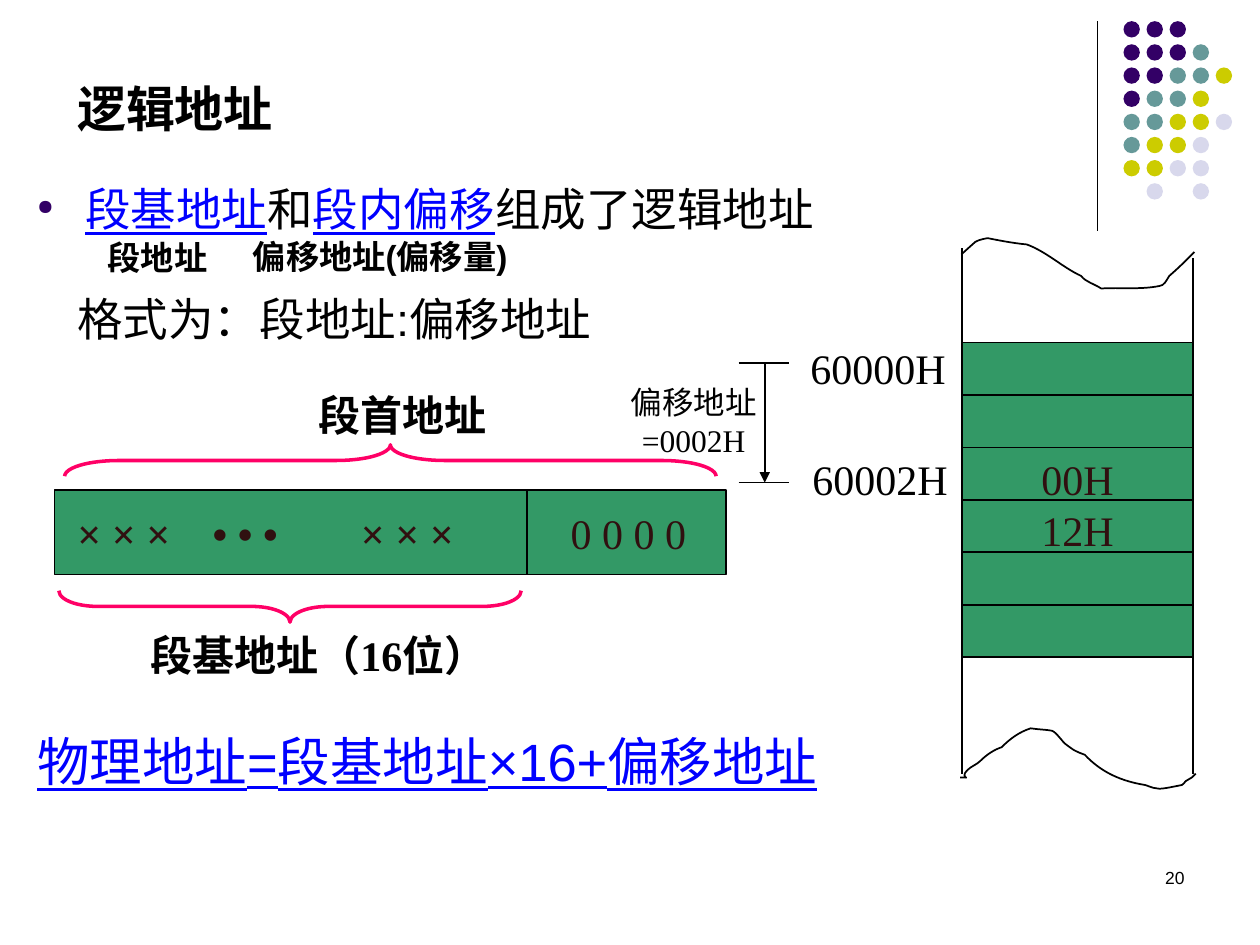
from dataclasses import dataclass, field
from typing import NamedTuple

from lxml.etree import SubElement
from pptx import Presentation
from pptx.dml.color import RGBColor
from pptx.enum.shapes import MSO_CONNECTOR, MSO_SHAPE
from pptx.enum.text import MSO_ANCHOR, PP_ALIGN
from pptx.oxml.ns import qn
from pptx.util import Emu, Inches, Pt

SLIDE_W, SLIDE_H = Inches(10), Inches(7.5)


@dataclass(frozen=True)
class Theme:
    ink: str = "000000"
    link: str = "0000FF"
    cell: str = "339966"
    cell_text: str = "301010"
    brace: str = "FF0066"
    purple: str = "330066"
    teal: str = "669999"
    olive: str = "CCCC00"
    lilac: str = "D8D8EC"
    sans: str = "Arial"
    serif: str = "Times New Roman"
    formula: int = 30
    title: int = 28
    body: int = 26
    label: int = 24
    note: int = 19
    offset: int = 18
    number: int = 10


THEME = Theme()


class Box(NamedTuple):
    """Left, top, width and height in percent of the slide."""
    left: float
    top: float
    width: float
    height: float


class Run(NamedTuple):
    text: str
    format: dict


@dataclass(frozen=True)
class Para:
    runs: list[Run]
    format: dict = field(default_factory=dict)
    margin: float = 0
    indent: float = 0
    bullet: bool = False


class Label(NamedTuple):
    box: Box
    text: str
    color: str = THEME.ink
    bold: bool = False


def across(percent: float) -> Emu:
    return Emu(round(SLIDE_W * percent / 100))


def down(percent: float) -> Emu:
    return Emu(round(SLIDE_H * percent / 100))


def place(box: Box) -> tuple[Emu, Emu, Emu, Emu]:
    return across(box.left), down(box.top), across(box.width), down(box.height)


def style(size: int, font: str = THEME.sans, color: str = THEME.ink, **extra) -> dict:
    return {"size": Pt(size), "name": font, "color": color, **extra}


def apply(target, values: dict) -> None:
    for name, value in values.items():
        if name == "color":
            target.color.rgb = RGBColor.from_string(value)
        else:
            setattr(target, name, value)


def set_layout(paragraph, para: Para) -> None:
    """Write indents and bullet, in schema order."""
    props = paragraph._p.get_or_add_pPr()
    props.set("marL", str(Inches(para.margin)))
    props.set("indent", str(Inches(para.indent)))
    if para.bullet:
        SubElement(SubElement(props, qn("a:buClr")), qn("a:srgbClr"), val=THEME.purple)
        SubElement(props, qn("a:buSzPct"), val="46000")
        SubElement(props, qn("a:buChar"), char="●")


def add_text(slide, box: Box, paras: list[Para], **frame_format) -> None:
    frame = slide.shapes.add_textbox(*place(box)).text_frame
    apply(frame, {"word_wrap": True, **frame_format})
    for index, para in enumerate(paras):
        paragraph = frame.add_paragraph() if index else frame.paragraphs[0]
        set_layout(paragraph, para)
        apply(paragraph, para.format)
        for text, values in para.runs:
            run = paragraph.add_run()
            run.text = text
            apply(run.font, values)


def add_solid(slide, kind, box: Box, fill: str, outlined: bool = True) -> None:
    shape = slide.shapes.add_shape(kind, *place(box))
    shape.shadow.inherit = False
    shape.fill.solid()
    shape.fill.fore_color.rgb = RGBColor.from_string(fill)
    if outlined:
        stroke(shape, THEME.ink, 1)
    else:
        shape.line.fill.background()


def stroke(shape, color: str, width: float) -> None:
    shape.line.color.rgb = RGBColor.from_string(color)
    shape.line.width = Pt(width)


def add_line(slide, x1: float, y1: float, x2: float, y2: float,
             width: float = 1, arrow: bool = False) -> None:
    line = slide.shapes.add_connector(
        MSO_CONNECTOR.STRAIGHT, across(x1), down(y1), across(x2), down(y2))
    stroke(line, THEME.ink, width)
    if arrow:
        SubElement(line.line._get_or_add_ln(), qn("a:tailEnd"), type="triangle")
    SubElement(line._element.spPr, qn("a:effectLst"))


def add_brace(slide, box: Box, rotation: int) -> None:
    """Turn a left brace so that it spans the box lengthwise."""
    left, top, span, depth = place(box)
    brace = slide.shapes.add_shape(
        MSO_SHAPE.LEFT_BRACE, left + (span - depth) // 2, top + (depth - span) // 2, depth, span)
    brace.rotation = rotation
    brace.adjustments[0] = span / depth / 12
    brace.shadow.inherit = False
    brace.fill.background()
    stroke(brace, THEME.brace, 2)


def add_wave(slide, start: tuple, curves: list[tuple]) -> None:
    """Draw a torn edge through cubic curves given as (x1, y1, x2, y2, x, y)."""
    builder = slide.shapes.build_freeform(across(start[0]), down(start[1]))
    builder.add_line_segments([(across(c[4]), down(c[5])) for c in curves], close=False)
    edge = builder.convert_to_shape()
    segments = list(edge._element.iter(qn("a:lnTo")))
    for segment, curve in zip(segments, curves):
        bend = SubElement(segment.getparent(), qn("a:cubicBezTo"))
        for x, y in zip(curve[::2], curve[1::2]):
            SubElement(bend, qn("a:pt"), x=str(across(x) - edge.left), y=str(down(y) - edge.top))
        segment.getparent().replace(segment, bend)
    edge.shadow.inherit = False
    edge.fill.background()
    stroke(edge, THEME.ink, 1)


DOT_ROWS = ("PPP", "PPPT", "PPTTY", "PTTY", "TTYYL", "TYYL", "YYLL", " L L")
DOT_COLORS = {"P": THEME.purple, "T": THEME.teal, "Y": THEME.olive, "L": THEME.lilac}
MEMORY = Box(76.36, 36.25, 18.33, 5.55)
MEMORY_ROWS = 6
TOP_EDGE = [
    (76.5, 26.67, 77.3, 25.73, 77.4, 25.6), (77.7, 25.33, 78.4, 25.2, 78.4, 25.2),
    (79.4, 25.47, 80.4, 25.73, 81.5, 25.87), (83.1, 26.67, 84.3, 28.27, 85.8, 29.2),
    (86.2, 29.87, 86.8, 30, 87.4, 30.53), (88.9, 30.4, 90.5, 30.67, 92, 30.27),
    (92.4, 30.27, 92.6, 29.6, 92.8, 29.2), (93.5, 28.4, 94.1, 27.6, 94.8, 26.67)]
BOTTOM_EDGE = [
    (77.4, 82.27, 76, 82.53, 76.8, 81.47), (77.1, 81.07, 77.5, 80.93, 77.8, 80.53),
    (78.3, 79.87, 78.9, 79.33, 79.5, 79.07), (80.2, 78.13, 80.9, 77.47, 81.8, 77.07),
    (82.4, 77.2, 83, 77.2, 83.5, 77.33), (83.8, 77.47, 84.3, 78.4, 84.5, 78.67),
    (85.3, 79.47, 85.3, 79.47, 86.1, 79.87), (87.4, 81.73, 89, 82.67, 90.9, 83.07),
    (92, 83.6, 91.8, 83.6, 93.8, 83.07), (93.9, 83.07, 94, 82.8, 94.1, 82.67),
    (94.3, 82.53, 94.4, 82.4, 94.6, 82.27), (94.7, 82.13, 94.9, 81.87, 94.9, 81.87)]
LABELS = [
    Label(Box(63.33, 35.6, 13.3, 6.67), "60000H"),
    Label(Box(63.5, 47.33, 13.3, 6.67), "60002H"),
    Label(Box(81.67, 47.33, 9.2, 6.67), "00H", THEME.cell_text),
    Label(Box(81.67, 52.75, 9.2, 6.67), "12H", THEME.cell_text),
    Label(Box(44.3, 53, 12.5, 6.67), "0 0 0 0", THEME.cell_text),
    Label(Box(5.17, 53, 10, 6.67), "× × ×", THEME.cell_text, True),
    Label(Box(15.9, 53, 9, 6.67), "• • •", THEME.cell_text, True),
    Label(Box(27.67, 53, 15, 6.67), "× × ×", THEME.cell_text, True),
    Label(Box(24.3, 40.53, 15.8, 6.67), "段首地址", bold=True),
    Label(Box(10.95, 65.93, 31.2, 6.67), "段基地址（16位）", bold=True)]

plain = style(THEME.body)
linked = style(THEME.body, color=THEME.link, underline=True)
noted = style(THEME.note, bold=True)
INTRO = [
    Para([Run("段基地址", linked), Run("和", plain), Run("段内偏移", linked),
          Run("组成了逻辑地址", plain)], margin=0.38, indent=-0.38, bullet=True),
    Para([Run("段地址", noted)], {"space_before": Pt(0.8)}, margin=0.56),
    Para([Run("格式为：段地址:偏移地址", plain)], {"space_before": Pt(8)}, margin=0.32)]

prs = Presentation()
prs.slide_width, prs.slide_height = SLIDE_W, SLIDE_H
slide = prs.slides.add_slide(prs.slide_layouts[6])

add_line(slide, 87.1, 2.27, 87.1, 24.4, 0.75)
for row, dots in enumerate(DOT_ROWS):
    for column, key in enumerate(dots):
        if key in DOT_COLORS:
            dot = Box(89.17 + 1.83 * column, 2.24 + 2.45 * row, 1.3, 1.73)
            add_solid(slide, MSO_SHAPE.OVAL, dot, DOT_COLORS[key], outlined=False)

add_text(slide, Box(5.14, 8, 85, 7.2), [Para([Run("逻辑地址", style(THEME.title, bold=True))])],
         vertical_anchor=MSO_ANCHOR.BOTTOM)
add_text(slide, Box(1.97, 18.53, 72, 20), INTRO)
add_text(slide, Box(19.1, 24.35, 30, 5.5), [Para([Run("偏移地址(偏移量)", noted)])])
formula = style(THEME.formula, color=THEME.link, underline=True)
add_text(slide, Box(1.97, 76.53, 73, 8), [Para([Run("物理地址=段基地址×16+偏移地址", formula)])])

for row in range(MEMORY_ROWS):
    cell = MEMORY._replace(top=MEMORY.top + row * MEMORY.height)
    add_solid(slide, MSO_SHAPE.RECTANGLE, cell, THEME.cell)
add_line(slide, MEMORY.left, 26.27, MEMORY.left, 81.87)
add_line(slide, MEMORY.left + MEMORY.width, 27.33, MEMORY.left + MEMORY.width, 81.87)
add_wave(slide, (76.3, 26.93), TOP_EDGE)
add_wave(slide, (76.2, 82.27), BOTTOM_EDGE)

add_solid(slide, MSO_SHAPE.RECTANGLE, Box(4.33, 51.87, 53.3, 8.93), THEME.cell)
add_line(slide, 41.8, 51.87, 41.8, 60.8)
add_brace(slide, Box(5.13, 47.07, 51.7, 3.33), 90)
add_brace(slide, Box(4.67, 62.5, 36.7, 3.33), 270)

for limit in (38.45, 51.07):
    add_line(slide, 58.63, limit, 62.63, limit)
add_line(slide, 60.7, 38.45, 60.7, 51.07, arrow=True)

for box, text, color, bold in LABELS:
    add_text(slide, box, [Para([Run(text, style(THEME.label, THEME.serif, color, bold=bold))])])
add_text(slide, Box(49.95, 40.53, 10.2, 8),
         [Para([Run("偏移地址=0002H", style(THEME.offset, THEME.serif))], {"alignment": PP_ALIGN.CENTER})],
         **dict.fromkeys(("margin_left", "margin_top", "margin_right", "margin_bottom"), 0))
add_text(slide, Box(71.7, 91.07, 23.3, 6.67),
         [Para([Run("20", style(THEME.number))], {"alignment": PP_ALIGN.RIGHT})])

prs.save("out.pptx")
